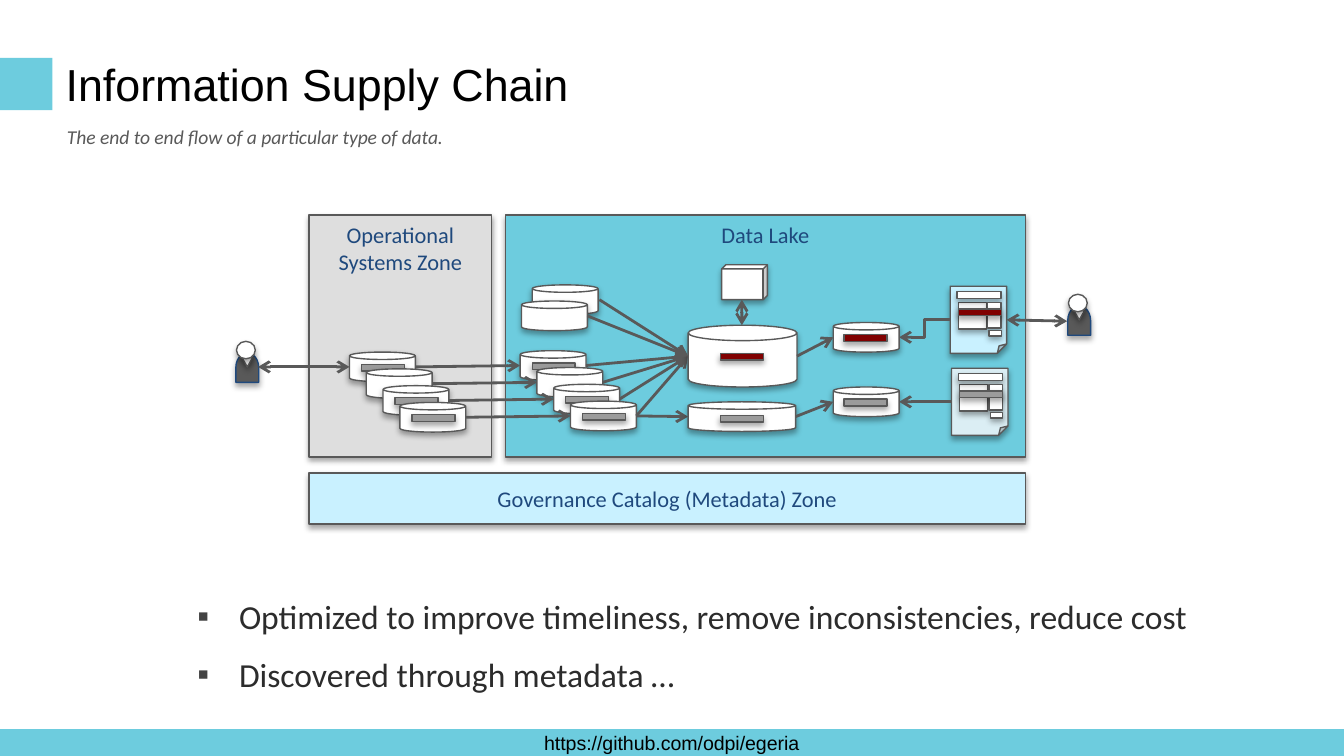
from lxml.etree import SubElement
from pptx import Presentation
from pptx.dml.color import RGBColor
from pptx.enum.shapes import MSO_CONNECTOR as Link, MSO_SHAPE as Shape
from pptx.enum.text import MSO_ANCHOR as Anchor, PP_ALIGN as Align
from pptx.oxml.ns import qn
from pptx.util import Inches, Pt

AQUA = RGBColor(0x6D, 0xCC, 0xDE)
PALE_BLUE = RGBColor(0xC9, 0xF1, 0xFF)
MIST = RGBColor(0xDB, 0xEE, 0xF4)
LIGHT_GREY = RGBColor(0xDE, 0xDE, 0xDE)
MID_GREY = RGBColor(0x9B, 0x9B, 0x9B)
DARK_GREY = RGBColor(0x59, 0x59, 0x59)
BULLET_GREY = RGBColor(0x43, 0x43, 0x43)
INK = RGBColor(0x2C, 0x2C, 0x2C)
NAVY = RGBColor(0x1F, 0x49, 0x7D)
MAROON = RGBColor(0x80, 0, 0)
WHITE = RGBColor(0xFF, 0xFF, 0xFF)
BLACK = RGBColor(0, 0, 0)

TITLE = {"name": "Arial", "size": Pt(24), "color": BLACK}
FOOTER = {"name": "Arial", "size": Pt(10.5), "color": BLACK}
SUBTITLE = {"name": "Calibri", "size": Pt(10.5), "italic": True, "color": DARK_GREY}
ZONE = {"name": "Calibri", "size": Pt(12), "color": NAVY}
BODY = {"name": "Calibri", "size": Pt(18), "color": INK}

SLIDE_W = 10
SLIDE_H = SLIDE_W * 9 / 16
FOOTER_H = 0.2
STORE_W, STORE_H = 0.49, 0.22
STACK_STEP = 1 / 8
LAKE_INLET = (5.12, 2.65)


def apply_format(target, values):
    for name, value in values.items():
        if name == "color":
            target.color.rgb = value
        else:
            setattr(target, name, value)


def write(frame, text, font, align=Align.LEFT, anchor=Anchor.TOP):
    apply_format(frame, {"word_wrap": True, "vertical_anchor": anchor})
    paragraph = frame.paragraphs[0]
    paragraph.text = text
    paragraph.alignment = align
    apply_format(paragraph.font, font)


def add_label(shapes, box, text, font, anchor=Anchor.TOP):
    label = shapes.add_textbox(*map(Inches, box))
    write(label.text_frame, text, font, anchor=anchor)


def add_flat(shapes, box, fill, kind=Shape.RECTANGLE):
    part = shapes.add_shape(kind, *map(Inches, box))
    part.fill.solid()
    part.fill.fore_color.rgb = fill
    part.line.fill.background()
    part.shadow.inherit = False
    return part


def add_part(shapes, kind, box, fill=WHITE, outline=DARK_GREY):
    """Outlined diagram part with a soft shadow below it."""
    part = add_flat(shapes, box, fill, kind)
    apply_format(part.line, {"color": outline, "width": Pt(0.75)})
    effects = part._element.spPr.find(qn("a:effectLst"))
    shadow = SubElement(effects, qn("a:outerShdw"), blurRad=str(Pt(3.1)),
                        dist=str(Pt(1.8)), dir="5400000", rotWithShape="0")
    color = SubElement(shadow, qn("a:srgbClr"), val="000000")
    SubElement(color, qn("a:alpha"), val="35000")
    return part


def add_zone(shapes, box, fill, text, anchor=Anchor.TOP):
    zone = add_part(shapes, Shape.RECTANGLE, box, fill)
    write(zone.text_frame, text, ZONE, Align.CENTER, anchor)


def add_store(shapes, left, top, width=STORE_W, height=STORE_H):
    add_part(shapes, Shape.CAN, (left, top, width, height))


def add_record(shapes, left, top, fill=MID_GREY):
    """Bar that marks the tracked data inside a store or report."""
    add_part(shapes, Shape.RECTANGLE, (left, top, 0.32, 0.05), fill)


def add_flow(shapes, start, end, both=False, kind=Link.STRAIGHT):
    flow = shapes.add_connector(kind, *map(Inches, start + end))
    apply_format(flow.line, {"color": DARK_GREY, "width": Pt(1.5)})
    SubElement(flow._element.spPr, qn("a:effectLst"))
    line = flow.line._get_or_add_ln()
    for tag in ("a:headEnd", "a:tailEnd") if both else ("a:tailEnd",):
        SubElement(line, qn(tag), type="arrow")
    return flow


def add_report(shapes, left, top, paper, record):
    report = add_part(shapes, Shape.FOLDED_CORNER, (left, top, 0.42, 0.5), paper)
    for dx, dy, width, height in ((0.06, 0.12, 0.21, 0.2), (0.05, 0.04, 0.33, 0.05),
                                  (0.28, 0.12, 0.1, 0.19), (0.29, 0.33, 0.09, 0.04)):
        add_part(shapes, Shape.RECTANGLE, (left + dx, top + dy, width, height))
    add_record(shapes, left + 0.06, top + 0.17, record)
    return report


def add_person(shapes, left, top):
    person = shapes.add_group_shape().shapes
    body = add_part(person, Shape.FLOWCHART_DELAY,
                    (left - 0.03, top + 0.11, 0.22, 0.17), DARK_GREY, NAVY)
    body.rotation = 270
    collar = add_part(person, Shape.ISOSCELES_TRIANGLE,
                      (left + 0.04, top + 0.12, 0.08, 0.07))
    collar.rotation = 180
    add_part(person, Shape.OVAL, (left, top, 0.14, 0.13))


def add_stacks(shapes):
    """Operational stores, each feeding its copy in the lake."""
    for i in range(4):
        shift = i * STACK_STEP
        source, landing = 2.6 + shift, 3.87 + shift
        top = 2.62 + shift
        middle = top + STORE_H / 2
        outlet = (landing + STORE_W, middle - 0.01)
        add_store(shapes, source, top)
        add_store(shapes, landing, top - 0.01)
        add_flow(shapes, (source + STORE_W, middle), (landing, middle - 0.01))
        add_flow(shapes, outlet, LAKE_INLET)
        if i != 1:
            add_record(shapes, source + 0.09, top + 0.09)
            add_record(shapes, landing + 0.09, top + 0.08)
    add_flow(shapes, outlet, (5.12, 3.1))


def add_lake(shapes):
    add_store(shapes, 5.12, 2.42, 0.81, 0.46)
    add_store(shapes, 5.12, 2.99, 0.8)
    add_record(shapes, 5.36, 2.63, MAROON)
    add_record(shapes, 5.36, 3.09)

    references = shapes.add_group_shape().shapes
    for left, top in ((3.96, 2.12), (3.88, 2.24)):
        add_store(references, left, top)
    for start in ((4.46, 2.23), (4.37, 2.35)):
        add_flow(shapes, start, LAKE_INLET)

    engine = add_part(shapes, Shape.CUBE, (5.37, 1.97, 0.34, 0.26))
    engine.adjustments[0] = 0.12
    add_flow(shapes, (5.52, 2.23), (5.52, 2.42), both=True)


def add_delivery(shapes):
    """Marts fed by the lake and the reports that read them."""
    for top, outlet, record in ((2.4, (5.93, 2.65), MAROON),
                                (2.88, (5.92, 3.1), MID_GREY)):
        add_store(shapes, 6.2, top)
        add_flow(shapes, outlet, (6.2, top + STORE_H / 2))
        add_record(shapes, 6.28, top + 0.09, record)
    used_report = add_report(shapes, 7.07, 2.13, PALE_BLUE, MAROON)
    add_report(shapes, 7.08, 2.74, MIST, MID_GREY)
    add_flow(shapes, (7.07, 2.38), (6.69, 2.51), kind=Link.ELBOW)
    add_flow(shapes, (7.08, 2.99), (6.69, 2.99), kind=Link.ELBOW)
    add_person(shapes, 7.95, 2.19)
    reading = add_flow(shapes, (7.94, 2.39), (7.5, 2.38), both=True)
    reading.end_connect(used_report, 3)


def add_bullets(shapes, box, lines):
    frame = shapes.add_textbox(*map(Inches, box)).text_frame
    apply_format(frame, {"word_wrap": True, "margin_top": Inches(0.1),
                         "margin_bottom": Inches(0.1)})
    for i, text in enumerate(lines):
        paragraph = frame.add_paragraph() if i else frame.paragraphs[0]
        paragraph.text = text
        apply_format(paragraph, {"line_spacing": 1.15, "space_after": Pt(6)})
        props = paragraph._p.get_or_add_pPr()
        props.set("marL", str(Inches(0.31)))
        props.set("indent", str(-Inches(0.31)))
        color = SubElement(props, qn("a:buClr"))
        SubElement(color, qn("a:srgbClr"), val=str(BULLET_GREY))
        SubElement(props, qn("a:buFont"), typeface="Arial")
        SubElement(props, qn("a:buChar"), char="▪")
        apply_format(paragraph.font, BODY)


def main():
    deck = Presentation()
    deck.slide_width, deck.slide_height = Inches(SLIDE_W), Inches(SLIDE_H)
    shapes = deck.slides.add_slide(deck.slide_layouts[6]).shapes

    footer = add_flat(shapes, (0, SLIDE_H - FOOTER_H, SLIDE_W, FOOTER_H), AQUA)
    write(footer.text_frame, "https://github.com/odpi/egeria", FOOTER,
          Align.CENTER, Anchor.MIDDLE)
    add_flat(shapes, (0, 0.43, 0.39, 0.39), AQUA)
    add_label(shapes, (0.39, 0.31, 9.27, 0.63), "Information Supply Chain",
              TITLE, Anchor.MIDDLE)
    add_label(shapes, (0.4, 0.88, 5.77, 0.28),
              "The end to end flow of a particular type of data.", SUBTITLE)
    add_bullets(shapes, (1.37, 4.29, 8.28, 0.89),
                ("Optimized to improve timeliness, remove inconsistencies, reduce cost",
                 "Discovered through metadata …"))

    add_zone(shapes, (2.3, 1.6, 1.36, 1.8), LIGHT_GREY, "Operational Systems Zone")
    add_zone(shapes, (3.76, 1.6, 3.87, 1.8), AQUA, "Data Lake")
    add_zone(shapes, (2.3, 3.52, 5.33, 0.38), PALE_BLUE,
             "Governance Catalog (Metadata) Zone", Anchor.MIDDLE)
    add_stacks(shapes)
    add_lake(shapes)
    add_delivery(shapes)
    add_person(shapes, 1.76, 2.54)
    add_flow(shapes, (1.92, 2.73), (2.6, 2.73), both=True)

    deck.save("out.pptx")


if __name__ == "__main__":
    main()
